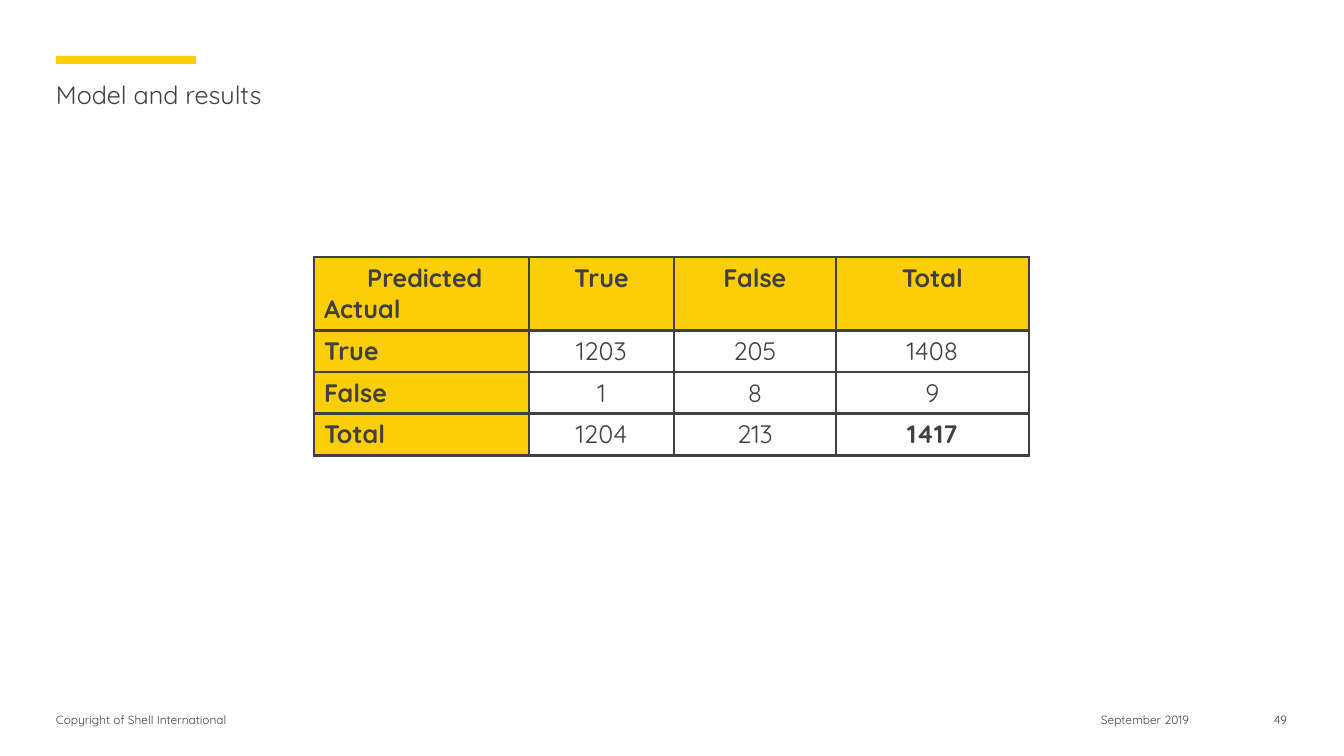
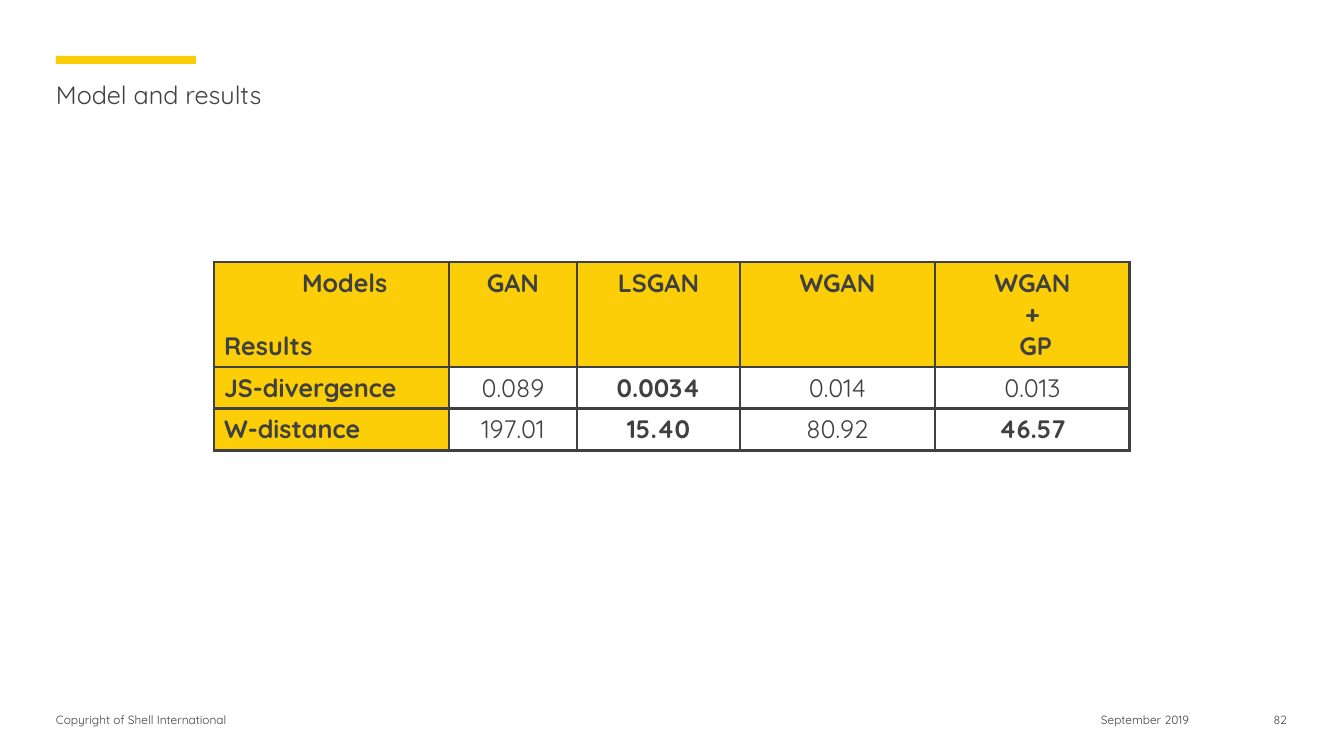
from lxml.etree import SubElement
from pptx import Presentation
from pptx.dml.color import RGBColor
from pptx.enum.shapes import MSO_SHAPE
from pptx.enum.text import MSO_ANCHOR, MSO_AUTO_SIZE, PP_ALIGN
from pptx.oxml.ns import qn
from pptx.util import Pt

PX = 914400 / 100.8
FONT = "Quicksand"
YELLOW, GREY, WHITE = "FBCE07", "404040", "FFFFFF"
TITLE = "Model and results"
LINE_HEIGHT, CELL_PADDING, BODY_ROW = 31, 10, 41
INDENTS = {"Predicted": 43, "Models": 78, "GP": 7}
LINE_GAPS = {"Results": 22.5}

TABLES = [
    {
        "number": "49", "left": 314, "top": 257, "columns": [215, 145, 162, 193],
        "header_lines": 2, "bold": {"1417"},
        "rows": [
            ["Predicted\nActual", "True", "False", "Total"],
            ["True", "1203", "205", "1408"],
            ["False", "1", "8", "9"],
            ["Total", "1204", "213", "1417"],
        ],
    },
    {
        "number": "82", "left": 214, "top": 262, "columns": [235, 128, 163, 195, 195],
        "header_lines": 3, "bold": {"0.0034", "15.40", "46.57"},
        "rows": [
            ["Models\nResults", "GAN", "LSGAN", "WGAN", "WGAN\n+\nGP"],
            ["JS-divergence", "0.089", "0.0034", "0.014", "0.013"],
            ["W-distance", "197.01", "15.40", "80.92", "46.57"],
        ],
    },
]


def px(*lengths):
    return [round(length * PX) for length in lengths]


def color(value):
    return RGBColor.from_string(value)


presentation = Presentation()
presentation.slide_width, presentation.slide_height = px(1344, 756)

for spec_table in TABLES:
    slide = presentation.slides.add_slide(presentation.slide_layouts[5])

    accent_bar = slide.shapes.add_shape(MSO_SHAPE.RECTANGLE, *px(56, 56, 140, 8))
    accent_bar.shadow.inherit = False
    accent_bar.fill.solid()
    accent_bar.fill.fore_color.rgb = color(YELLOW)
    accent_bar.line.fill.background()

    title = slide.shapes.title
    title.left, title.top, title.width, title.height = px(56, 79, 1232, 83)
    texts = [(title, TITLE, 18, PP_ALIGN.LEFT, 0)]
    for left, width, text, alignment in [
        (56, 370, "Copyright of Shell International", PP_ALIGN.LEFT),
        (1066, 158, "September 2019", PP_ALIGN.CENTER),
        (1248, 39, spec_table["number"], PP_ALIGN.RIGHT),
    ]:
        footer = slide.shapes.add_textbox(*px(left, 713, width, 26))
        texts.append((footer, text, 8.5, alignment, 5))

    for shape, text, size, alignment, bottom in texts:
        frame = shape.text_frame
        frame.text = text
        frame.word_wrap = True
        frame.auto_size = MSO_AUTO_SIZE.NONE
        frame.vertical_anchor = MSO_ANCHOR.TOP
        frame.margin_left = frame.margin_top = frame.margin_right = 0
        frame.margin_bottom = px(bottom)[0]
        paragraph = frame.paragraphs[0]
        paragraph.alignment = alignment
        font = paragraph.runs[0].font
        font.name, font.size = FONT, Pt(size)
        font.color.rgb = color(GREY)

    rows, columns = spec_table["rows"], spec_table["columns"]
    header_height = CELL_PADDING + LINE_HEIGHT * spec_table["header_lines"]
    heights = [header_height] + [BODY_ROW] * (len(rows) - 1)
    table = slide.shapes.add_table(
        len(rows), len(columns),
        *px(spec_table["left"], spec_table["top"], sum(columns), sum(heights)),
    ).table
    table.horz_banding = False
    for column, width in zip(table.columns, px(*columns)):
        column.width = width
    for row, height in zip(table.rows, px(*heights)):
        row.height = height

    for row_index, row in enumerate(rows):
        for column_index, text in enumerate(row):
            cell = table.cell(row_index, column_index)
            is_heading = row_index == 0 or column_index == 0
            properties = cell._tc.get_or_add_tcPr()
            for side in "LRTB":
                border = SubElement(properties, qn(f"a:ln{side}"), w=str(Pt(2.25)))
                border_fill = SubElement(border, qn("a:solidFill"))
                SubElement(border_fill, qn("a:srgbClr"), val=GREY)
            cell.fill.solid()
            cell.fill.fore_color.rgb = color(YELLOW if is_heading else WHITE)
            cell.text_frame.text = text
            for paragraph in cell.text_frame.paragraphs:
                paragraph.alignment = PP_ALIGN.CENTER if column_index else PP_ALIGN.LEFT
                if paragraph.text in INDENTS:
                    indent = px(INDENTS[paragraph.text])[0]
                    paragraph._p.get_or_add_pPr().set("marL", str(indent))
                if paragraph.text in LINE_GAPS:
                    paragraph.space_before = Pt(LINE_GAPS[paragraph.text])
                font = paragraph.runs[0].font
                font.name, font.size = FONT, Pt(18)
                font.bold = is_heading or text in spec_table["bold"]
                font.color.rgb = color(GREY)

presentation.save("out.pptx")
